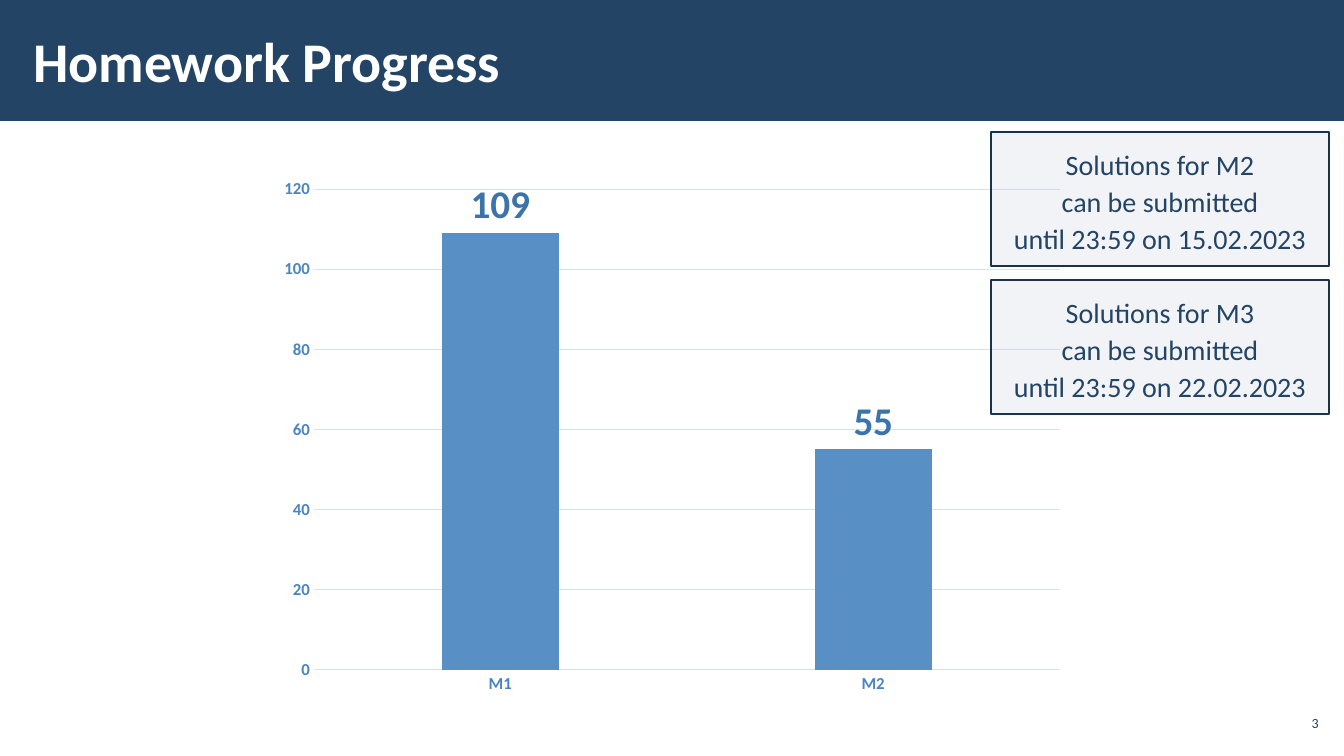
import pptx
import pptx.chart.data
import pptx.dml.color
import pptx.enum.chart
import pptx.enum.shapes
import pptx.enum.text
import pptx.oxml
import pptx.oxml.ns
import pptx.util
from pptx.util import Inches

RGBColor = pptx.dml.color.RGBColor
NAVY = RGBColor(0x23, 0x44, 0x65)
DARK_NAVY = RGBColor(0x1A, 0x33, 0x4C)
WHITE = RGBColor(0xFF, 0xFF, 0xFF)
GRAY_BLUE = RGBColor(0xAD, 0xB4, 0xC3)
BAR_BLUE = RGBColor(0x58, 0x8F, 0xC5)
AXIS_BLUE = RGBColor(0x4A, 0x85, 0xC0)
LABEL_BLUE = RGBColor(0x3B, 0x73, 0xAA)
GRID_BLUE = RGBColor(0xD5, 0xE3, 0xF1)


def set_font(font, size, color, bold=False):
    font.name = "Calibri"
    font.size = pptx.util.Pt(size)
    font.color.rgb = color
    font.bold = bold


def set_frame(frame, side, edge, anchor):
    frame.word_wrap = True
    frame.margin_left = frame.margin_right = Inches(side)
    frame.margin_top = frame.margin_bottom = Inches(edge)
    frame.vertical_anchor = anchor


presentation = pptx.Presentation()
presentation.slide_width = Inches(13.33)
presentation.slide_height = Inches(7.5)
slide = presentation.slides.add_slide(presentation.slide_layouts[6])
rectangle = pptx.enum.shapes.MSO_SHAPE.RECTANGLE
middle = pptx.enum.text.MSO_ANCHOR.MIDDLE
top = pptx.enum.text.MSO_ANCHOR.TOP

header = slide.shapes.add_shape(rectangle, 0, 0, presentation.slide_width, Inches(1.2))
header.shadow.inherit = False
header.fill.solid()
header.fill.fore_color.rgb = NAVY
header.line.fill.background()

title = slide.shapes.add_textbox(Inches(0.21), Inches(0.11), Inches(10.63), Inches(0.97))
set_frame(title.text_frame, 0.12, 0.04, middle)
paragraph = title.text_frame.paragraphs[0]
paragraph.text = "Homework Progress"
set_font(paragraph.font, 40, WHITE, bold=True)

page_number = slide.shapes.add_textbox(Inches(12.65), Inches(7), Inches(0.47), Inches(0.34))
set_frame(page_number.text_frame, 0.04, 0.04, middle)
paragraph = page_number.text_frame.paragraphs[0]
paragraph.text = "3"
paragraph.alignment = pptx.enum.text.PP_ALIGN.RIGHT
set_font(paragraph.font, 10, NAVY)

chart_data = pptx.chart.data.CategoryChartData()
chart_data.categories = ["M1", "M2"]
chart_data.add_series("Series 1", [109, 55])
chart = slide.shapes.add_chart(
    pptx.enum.chart.XL_CHART_TYPE.COLUMN_CLUSTERED,
    Inches(2.66), Inches(1.67), Inches(8.01), Inches(5.32), chart_data,
).chart
chart.has_legend = False
chart.has_title = False
set_font(chart.font, 10, NAVY)

for axis in (chart.category_axis, chart.value_axis):
    axis.major_tick_mark = pptx.enum.chart.XL_TICK_MARK.NONE
    axis.minor_tick_mark = pptx.enum.chart.XL_TICK_MARK.NONE
    set_font(axis.tick_labels.font, 12, AXIS_BLUE, bold=True)
chart.value_axis.minimum_scale = 0
chart.value_axis.maximum_scale = 120
chart.value_axis.major_unit = 20
chart.value_axis.format.line.fill.background()
for line in (chart.category_axis.format.line, chart.value_axis.major_gridlines.format.line):
    line.color.rgb = GRID_BLUE
    line.width = pptx.util.Pt(0.75)

plot = chart.plots[0]
plot.vary_by_categories = False
plot.gap_width = 219
plot.overlap = -27
series = plot.series[0]
series.format.fill.solid()
series.format.fill.fore_color.rgb = BAR_BLUE
labels = series.data_labels
labels.show_value = True
labels.position = pptx.enum.chart.XL_LABEL_POSITION.OUTSIDE_END
set_font(labels.font, 28, LABEL_BLUE, bold=True)

deadlines = [("M2", "15.02.2023"), ("M3", "22.02.2023")]
for index, (milestone, date) in enumerate(deadlines):
    box = slide.shapes.add_shape(
        rectangle, Inches(9.83), Inches(1.31 + 1.47 * index), Inches(3.35), Inches(1.33)
    )
    box.shadow.inherit = False
    box.fill.solid()
    box.fill.fore_color.rgb = GRAY_BLUE
    color = box.fill._xPr.find(".//" + pptx.oxml.ns.qn("a:srgbClr"))
    color.append(pptx.oxml.parse_xml(
        f'<a:alpha {pptx.oxml.ns.nsdecls("a")} val="15000"/>'
    ))
    box.line.color.rgb = DARK_NAVY
    box.line.width = pptx.util.Pt(1)
    frame = box.text_frame
    set_frame(frame, 0.16, 0.12, top)
    frame.text = f"Solutions for {milestone}\ncan be submitted\nuntil 23:59 on {date}"
    for paragraph in frame.paragraphs:
        paragraph.alignment = pptx.enum.text.PP_ALIGN.CENTER
        paragraph.line_spacing = 1.1
        set_font(paragraph.font, 20, NAVY)

presentation.save("out.pptx")
